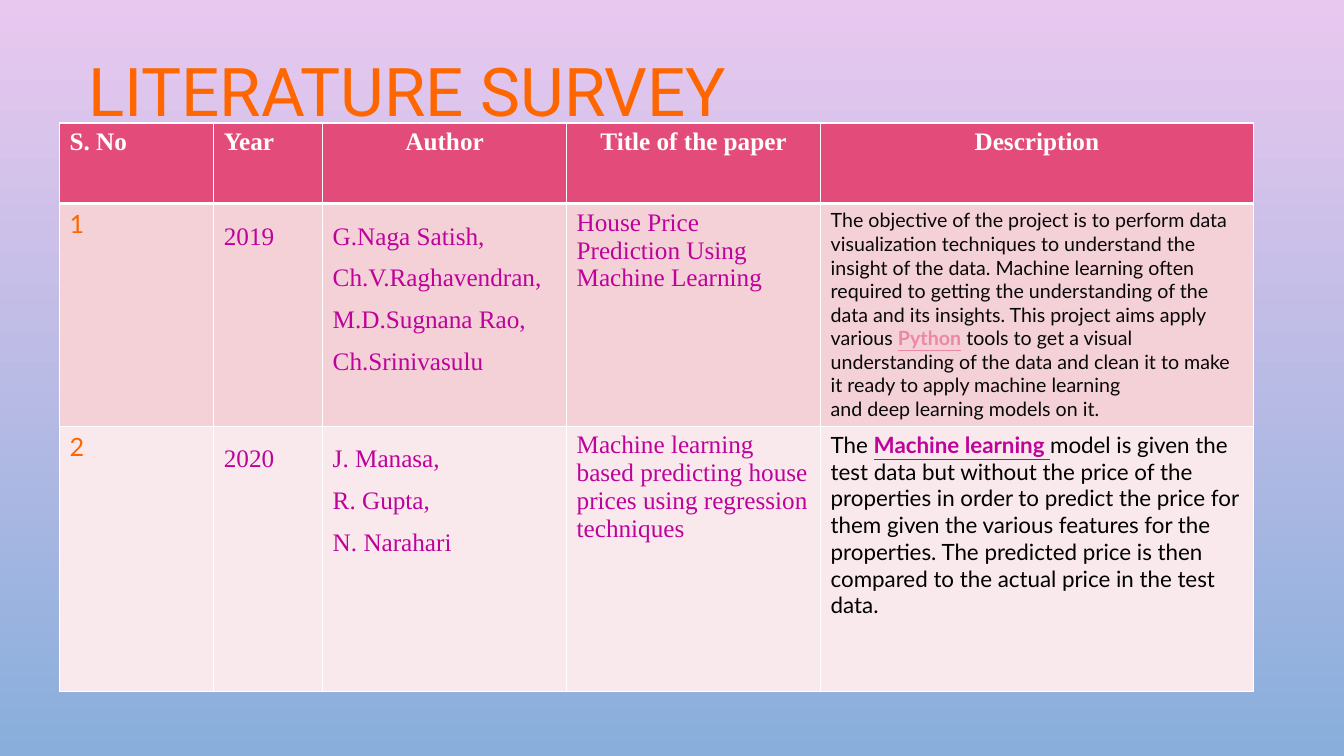
from lxml.etree import SubElement
from pptx import Presentation
from pptx.dml.color import RGBColor
from pptx.enum.text import MSO_ANCHOR, PP_ALIGN
from pptx.oxml.ns import qn
from pptx.util import Inches, Pt

ORANGE = RGBColor(0xFF, 0x66, 0x00)
MAGENTA = RGBColor(0xBE, 0x02, 0x9A)
PINK = RGBColor(0xED, 0x87, 0xA6)
ROSE = RGBColor(0xE3, 0x4B, 0x7A)
BLUSH = RGBColor(0xF4, 0xD0, 0xD7)
PALE = RGBColor(0xFA, 0xE9, 0xEC)
WHITE = RGBColor(0xFF, 0xFF, 0xFF)
INK = RGBColor(0x08, 0x08, 0x08)
BLACK = RGBColor(0, 0, 0)
LILAC = RGBColor(0xE9, 0xC8, 0xEF)
SKY = RGBColor(0x89, 0xAE, 0xDB)
SERIF, SANS, DISPLAY = "Times New Roman", "Lato", "Roboto"

LEFT = 0.59
COLS = [1.53, 1.08, 2.42, 2.52, 4.29]
ROWS = [0.8, 2.21, 2.63]
HEADERS = ["S. No", "Year", "Author", "Title of the paper", "Description"]

# Each description is a list of paragraphs; a tuple marks a highlighted term.
PAPERS = [
    dict(year="2019", fill=BLUSH, size=14, color=INK, accent=PINK,
         authors=["G.Naga Satish, Ch.V.Raghavendran,",
                  "M.D.Sugnana Rao, Ch.Srinivasulu"],
         title=["House Price ", "Prediction Using Machine Learning"],
         description=[
             ["The objective of the project is to perform data visualization "
              "techniques to understand the insight of the data. Machine "
              "learning often required to getting the understanding of the "
              "data and its insights. This project aims apply various\u00a0",
              ("Python",),
              "\u00a0tools to get a visual understanding of the data and clean "
              "it to make it ready to apply machine learning"],
             ["and deep learning models on it."]]),
    dict(year="2020", fill=PALE, size=16, color=BLACK, accent=MAGENTA,
         authors=["J. Manasa, ", "R. Gupta, ", "N. Narahari"],
         title=["Machine learning based predicting house prices using "
                "regression techniques"],
         description=[
             ["The ", ("Machine learning ",),
              "model is given the test data but without the price of the "
              "properties in order to predict the price for them given the "
              "various features for the properties. The predicted price is "
              "then compared to the actual price in the test data."]]),
]


def write(tf, paragraphs, size=18, font=SERIF, color=MAGENTA, bold=False,
          accent=None, align=PP_ALIGN.LEFT, spacing=1.0):
    """Fill a text frame; tuples inside a paragraph become highlighted runs."""
    for i, parts in enumerate(paragraphs):
        p = tf.paragraphs[0] if i == 0 else tf.add_paragraph()
        p.alignment, p.line_spacing = align, spacing
        for part in [parts] if isinstance(parts, str) else parts:
            marked = isinstance(part, tuple)
            r = p.add_run()
            r.text = part[0] if marked else part
            r.font.name, r.font.size = font, Pt(size)
            r.font.bold = bold or marked
            r.font.underline = marked
            r.font.color.rgb = accent if marked else color


def style_cell(cell, fill, bottom=1):
    """Give a cell white borders, then its fill."""
    tc_pr = cell._tc.get_or_add_tcPr()
    for side, width in zip("LRTB", (1, 1, 1, bottom)):
        ln = SubElement(tc_pr, qn(f"a:ln{side}"), w=str(Pt(width)))
        solid = SubElement(ln, qn("a:solidFill"))
        SubElement(solid, qn("a:srgbClr"), val=str(WHITE))
    cell.fill.solid()
    cell.fill.fore_color.rgb = fill


def add_background(s):
    """Paint a vertical gradient behind the slide."""
    fill = s.background.fill
    fill.gradient()
    fill.gradient_angle = 270
    for stop, color in zip(fill.gradient_stops, (LILAC, SKY)):
        stop.color.rgb = color


def add_title(s, text):
    """Place and format the title placeholder, clear of the table below."""
    sp = s.shapes.title
    sp.left, sp.top, sp.width, sp.height = map(Inches, (LEFT, 0.53, 6.9, 0.93))
    tf = sp.text_frame
    tf.word_wrap, tf.vertical_anchor = True, MSO_ANCHOR.TOP
    write(tf, [text], size=48, font=DISPLAY, color=ORANGE,
          align=PP_ALIGN.CENTER, spacing=0.9)


def add_survey_table(s):
    """Build the table of papers."""
    table = s.shapes.add_table(
        len(ROWS), len(COLS), Inches(LEFT), Inches(1.22),
        Inches(sum(COLS)), Inches(sum(ROWS))).table
    for col, width in zip(table.columns, COLS):
        col.width = Inches(width)
    for row, height in zip(table.rows, ROWS):
        row.height = Inches(height)

    for i, (cell, text) in enumerate(zip(table.rows[0].cells, HEADERS)):
        style_cell(cell, ROSE, bottom=3)
        write(cell.text_frame, [text], color=WHITE, bold=True,
              align=PP_ALIGN.LEFT if i < 2 else PP_ALIGN.CENTER)

    for n, paper in enumerate(PAPERS, 1):
        cells = list(table.rows[n].cells)
        for cell in cells:
            style_cell(cell, paper["fill"])
        number, year, author, title, description = (
            cell.text_frame for cell in cells)
        write(number, [str(n)], font=SANS, color=ORANGE)
        write(year, [paper["year"]], spacing=1.5)
        write(author, paper["authors"], spacing=1.5)
        write(title, paper["title"])
        write(description, paper["description"], size=paper["size"],
              font=SANS, color=paper["color"], accent=paper["accent"])


def main():
    """Assemble and save the slide."""
    prs = Presentation()
    prs.slide_width, prs.slide_height = Inches(13.33), Inches(7.5)
    s = prs.slides.add_slide(prs.slide_layouts[5])
    add_background(s)
    add_title(s, "LITERATURE SURVEY")
    add_survey_table(s)
    prs.save("out.pptx")


main()
